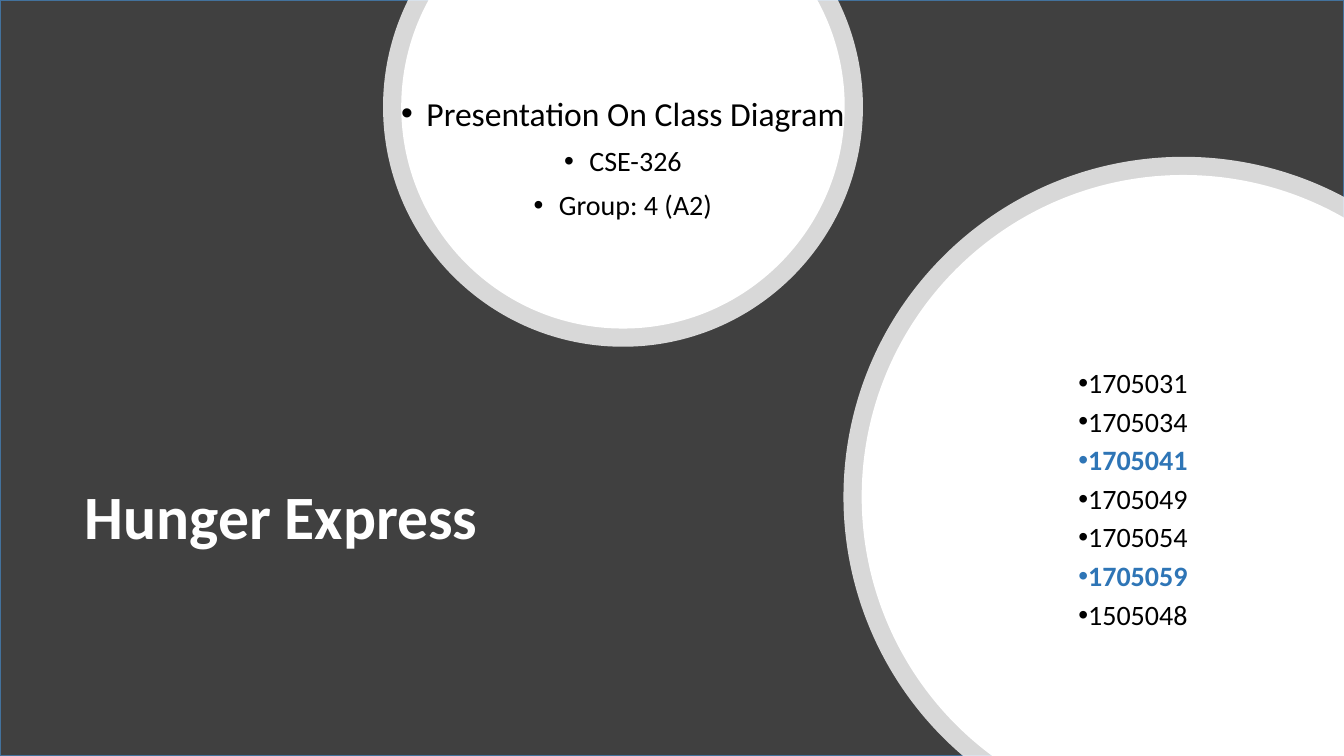
"""Build the Hunger Express title slide with two clipped circles and two lists."""
from math import acos, asin, cos, pi, sin, tan

from lxml import etree
from pptx import Presentation
from pptx.dml.color import RGBColor
from pptx.enum.shapes import MSO_SHAPE
from pptx.enum.text import MSO_ANCHOR, MSO_AUTO_SIZE, PP_ALIGN
from pptx.oxml.ns import qn
from pptx.util import Pt

RECT = MSO_SHAPE.RECTANGLE
MIDDLE = MSO_ANCHOR.MIDDLE
NO_FIT = MSO_AUTO_SIZE.NONE
LEFT, CENTER = PP_ALIGN.LEFT, PP_ALIGN.CENTER
W, H = 960, 540
WHITE, BLACK, BLUE = "FFFFFF", "000000", "2E75B6"


def rgb(value):
    return RGBColor.from_string(value)


def add_item(p, text, size, color, bold, margin, fmt):
    for name, value in fmt.items():
        setattr(p, name, value)
    pPr = p._p.get_or_add_pPr()
    pPr.set("marL", str(Pt(margin)))
    pPr.set("indent", str(Pt(-18)))
    clr = etree.SubElement(pPr, qn("a:buClr"))
    etree.SubElement(clr, qn("a:srgbClr"), val=color)
    etree.SubElement(pPr, qn("a:buFont"), typeface="Arial")
    etree.SubElement(pPr, qn("a:buChar"), char="•")
    r = p.add_run()
    r.text = text
    for name, value in {"name": "Calibri", "size": Pt(size), "bold": bold}.items():
        setattr(r.font, name, value)
    r.font.color.rgb = rgb(color)


prs = Presentation()
prs.slide_width, prs.slide_height = Pt(W), Pt(H)
s = prs.slides.add_slide(prs.slide_layouts[0])
title, subtitle = s.placeholders

sp = s.shapes.add_shape(RECT, 0, 0, Pt(W), Pt(H))
sp.shadow.inherit = False
sp.fill.solid()
sp.fill.fore_color.rgb = rgb("404040")
sp.line.color.rgb = rgb("43729D")
sp.line.width = Pt(2)

top_x, top_y = 445, 76.3
side_x, side_y = 845.5, 355
circles = []
for top_r, side_r, alpha in [(171.4, 243, 80000), (158.4, 230, 100000)]:
    t = asin(top_y / top_r)
    circles.append((top_x, top_y, top_r, [-t, 0, pi / 2, pi, pi + t], [], alpha))
    start = -acos((W - side_x) / side_r)
    end = -pi - asin((H - side_y) / side_r)
    circles.append((side_x, side_y, side_r, [start, -pi / 2, -pi, end], [(W, H)], alpha))

for cx, cy, radius, angles, corner, alpha in circles:
    points = [(cx + radius * cos(angles[0]), cy + radius * sin(angles[0]))]
    for a, b in zip(angles, angles[1:]):
        k = 4 / 3 * tan((b - a) / 4)
        points += [
            (cx + radius * (cos(a) - k * sin(a)), cy + radius * (sin(a) + k * cos(a))),
            (cx + radius * (cos(b) + k * sin(b)), cy + radius * (sin(b) - k * cos(b))),
            (cx + radius * cos(b), cy + radius * sin(b)),
        ]
    points = [(Pt(x), Pt(y)) for x, y in points + corner]
    builder = s.shapes.build_freeform(*points[0])
    builder.add_line_segments(points[1:], close=True)
    sp = builder.convert_to_shape()
    lines = list(sp._element.iter(qn("a:lnTo")))
    for i in range(0, 3 * (len(angles) - 1), 3):
        curve = etree.Element(qn("a:cubicBezTo"))
        lines[i].addprevious(curve)
        for line in lines[i:i + 3]:
            curve.append(line[0])
            line.getparent().remove(line)
    sp.shadow.inherit = False
    sp.fill.solid()
    sp.fill.fore_color.rgb = rgb(WHITE)
    sp.line.fill.background()
    if alpha < 100000:
        clr = sp._element.spPr.find(qn("a:solidFill"))[0]
        etree.SubElement(clr, qn("a:alpha"), val=str(alpha))

s.shapes._spTree.append(title._element)
s.shapes._spTree.append(subtitle._element)
members = s.shapes.add_textbox(0, 0, Pt(100), Pt(100))
boxes = [
    (title, (60.5, 275.8, 476.6, 190.8), 0, 0),
    (subtitle, (273.6, 28.1, 342.7, 193.7), 0, 22),
    (members, (763.2, 261.4, 196, 218.9), 7.2, 30.6),
]
for sp, (x, y, w, h), inset, bottom in boxes:
    sp.left, sp.top, sp.width, sp.height = Pt(x), Pt(y), Pt(w), Pt(h)
    tf = sp.text_frame
    fmt = {"word_wrap": True, "auto_size": NO_FIT, "vertical_anchor": MIDDLE,
           "margin_left": Pt(inset), "margin_right": Pt(inset),
           "margin_top": Pt(inset / 2), "margin_bottom": Pt(bottom)}
    for name, value in fmt.items():
        setattr(tf, name, value)

p = title.text_frame.paragraphs[0]
p.alignment, p.line_spacing = LEFT, 0.9
r = p.add_run()
r.text = "Hunger Express"
for name, value in {"name": "Calibri", "size": Pt(44), "bold": True}.items():
    setattr(r.font, name, value)
r.font.color.rgb = rgb(WHITE)

tf = subtitle.text_frame
headings = [("Presentation On Class Diagram", 24), ("CSE-326", 20), ("Group: 4 (A2)", 20)]
for i, (text, size) in enumerate(headings):
    p = tf.add_paragraph() if i else tf.paragraphs[0]
    fmt = {"alignment": CENTER, "line_spacing": 0.9, "space_before": Pt(10 if i else 0)}
    add_item(p, text, size, BLACK, False, 18, fmt)

tf = members.text_frame
ids = ["1705031", "1705034", "1705041", "1705049", "1705054", "1705059", "1505048"]
for i, text in enumerate(ids):
    p = tf.add_paragraph() if i else tf.paragraphs[0]
    marked = text in ("1705041", "1705059")
    fmt = {"alignment": LEFT, "line_spacing": 0.9, "space_after": Pt(6)}
    add_item(p, text, 20, BLUE if marked else BLACK, marked, 0, fmt)

prs.save("out.pptx")
